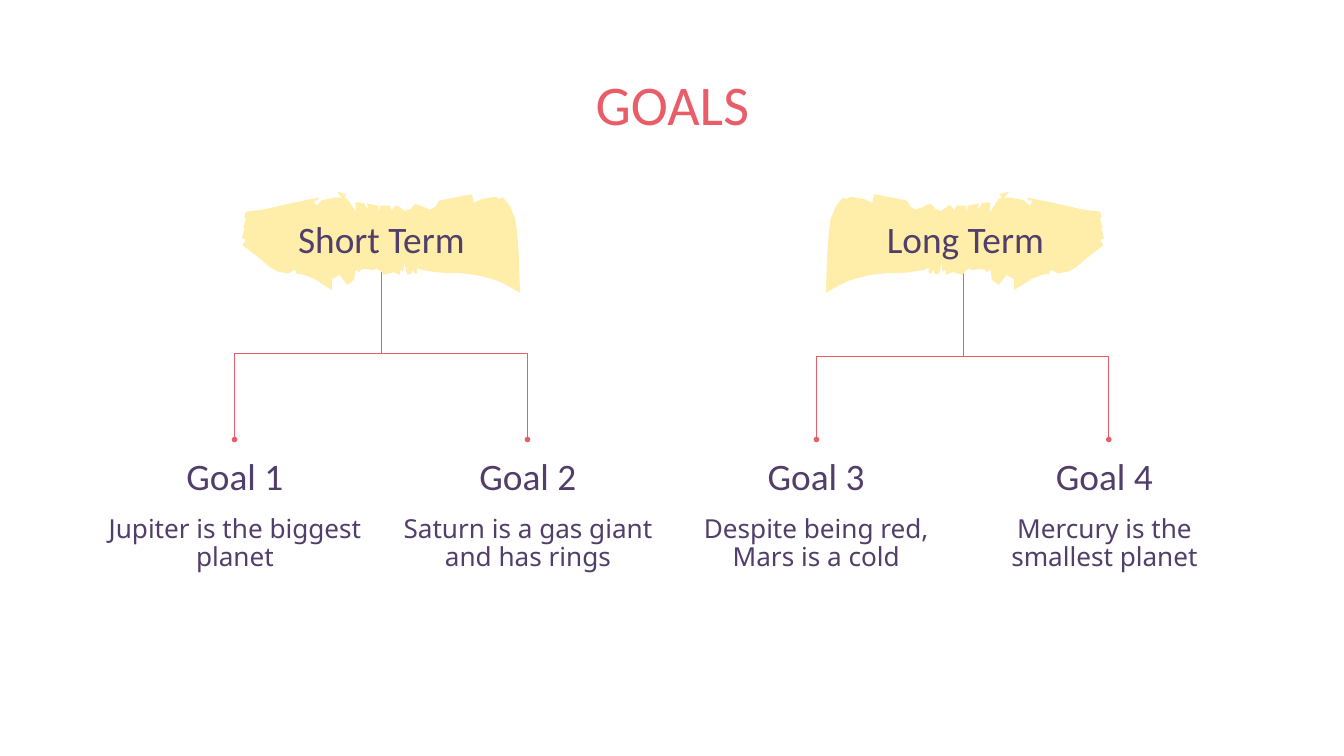
from dataclasses import dataclass

from lxml import etree
from pptx import Presentation
from pptx.dml.color import RGBColor
from pptx.enum.shapes import MSO_CONNECTOR
from pptx.enum.text import MSO_ANCHOR, MSO_AUTO_SIZE, PP_ALIGN
from pptx.oxml.ns import qn
from pptx.util import Inches, Pt

ELBOW = MSO_CONNECTOR.ELBOW
TOP, BOTTOM = MSO_ANCHOR.TOP, MSO_ANCHOR.BOTTOM
CENTER = PP_ALIGN.CENTER
NO_FIT = MSO_AUTO_SIZE.NONE


@dataclass(frozen=True)
class Theme:
    accent: RGBColor = RGBColor.from_string("E95D68")
    ink: RGBColor = RGBColor.from_string("513E6B")
    brush: RGBColor = RGBColor.from_string("FFEDAA")
    heading_font: str = "Calibri"
    body_font: str = "Noto Sans"
    title_size: int = 60
    heading_size: int = 40
    body_size: int = 28
    line_width: float = 0.75


BRUSH = [
    (5.01, 2.85), (5.09, 2.94), (4.99, 2.94), (4.79, 2.98), (4.72, 3.05),
    (4.7, 3.06), (4.67, 2.98), (4.71, 2.99), (4.75, 2.94), (4.35, 3.02),
    (3.91, 3.12), (3.66, 3.15), (3.63, 3.24), (3.66, 3.24), (3.63, 3.36),
    (3.62, 3.38), (3.64, 3.39), (3.62, 3.48), (3.6, 3.54), (3.66, 3.57),
    (3.61, 3.65), (3.87, 3.85), (4.02, 3.98), (4.13, 4.04), (4.29, 4.07),
    (4.39, 4.01), (4.42, 4.08), (4.49, 4.08), (4.66, 4.14), (4.85, 4.26),
    (4.94, 4.32), (4.94, 4.16), (5.05, 4.09), (5.17, 4.24), (5.27, 4.16),
    (5.29, 4.01), (5.35, 4.05), (5.38, 3.98), (5.36, 4.02), (5.42, 4),
    (5.57, 4.02), (5.6, 3.99), (5.67, 4.04), (5.71, 4.09), (5.86, 4.05),
    (5.95, 4.09), (5.96, 4.01), (5.99, 4.04), (6.01, 4.01), (6.01, 3.9),
    (6.06, 4.08), (6.12, 4.08), (6.14, 4.01), (6.17, 4.07), (6.21, 4.07),
    (6.21, 3.98), (6.26, 4.01), (6.48, 4.05), (6.61, 4.06), (6.8, 4.06),
    (7.07, 4.09), (7.24, 4.13), (7.41, 4.18), (7.57, 4.26), (7.74, 4.36),
    (7.72, 3.79), (7.7, 3.5), (7.67, 3.26), (7.59, 3.07), (7.49, 2.94),
    (7.42, 2.96), (7.39, 2.93), (7.36, 2.93), (7.18, 2.96), (7.05, 3.02),
    (7.02, 2.89), (6.56, 2.98), (6.53, 2.99), (6.48, 3.08), (6.4, 3.12),
    (6.3, 3.08), (6.21, 3.04), (6.17, 3.04), (6.11, 3.11), (6.02, 3.14),
    (5.92, 3.06), (5.88, 3.06), (5.83, 3.13), (5.8, 3.06), (5.66, 3.06),
    (5.64, 3.17), (5.63, 3.06), (5.46, 3.03), (5.49, 3.13), (5.41, 3.02),
    (5.32, 3.01), (5.29, 3.02), (5.3, 3.16), (5.17, 2.96), (5.13, 2.95),
    (5.15, 2.89),
]
MIRROR_SUM = 20.03
BOX_W, HEAD_H, BODY_H = 3.95, 0.94, 1.51
TERM_Y, GOAL_Y = 3.14, 6.54
STEM_Y = 4.05

TERMS = [
    ("Short Term", 3.7, 5.68, 5.26, False, [
        ("Goal 1", "Jupiter is the biggest planet", 1.52, 3.49),
        ("Goal 2", "Saturn is a gas giant and has rings", 5.88, 7.85),
    ]),
    ("Long Term", 12.39, 14.33, 5.3, True, [
        ("Goal 3", "Despite being red, Mars is a cold", 10.17, 12.15),
        ("Goal 4", "Mercury is the smallest planet", 14.46, 16.5),
    ]),
]


class GoalSlide:
    def __init__(self, slide, theme):
        self.slide = slide
        self.theme = theme

    def set_text(self, sp, text, font, size, color, anchor=TOP, side=0.2, spacing=1.0):
        tf = sp.text_frame
        tf.word_wrap = True
        tf.auto_size = NO_FIT
        tf.vertical_anchor = anchor
        tf.margin_left = tf.margin_right = Inches(side)
        tf.margin_top = tf.margin_bottom = Inches(0.2)
        p = tf.paragraphs[0]
        p.alignment = CENTER
        p.line_spacing = spacing
        r = p.add_run()
        r.text = text
        r.font.name = font
        r.font.size = Pt(size)
        r.font.color.rgb = color

    def title(self, text):
        t = self.theme
        sp = self.slide.shapes.title
        sp.left, sp.top = Inches(1.57), Inches(0.83)
        sp.width, sp.height = Inches(16.87), Inches(1.06)
        self.set_text(sp, text, t.heading_font, t.title_size, t.accent)

    def box(self, x, y, h):
        return self.slide.shapes.add_textbox(
            Inches(x), Inches(y), Inches(BOX_W), Inches(h))

    def heading(self, text, x, y, anchor=TOP):
        t = self.theme
        self.set_text(self.box(x, y, HEAD_H), text, t.heading_font,
                      t.heading_size, t.ink, anchor)

    def body(self, text, x, y):
        t = self.theme
        self.set_text(self.box(x, y, BODY_H), text, t.body_font,
                      t.body_size, t.ink, side=0, spacing=0.9)

    def brush(self, mirrored):
        points = [(Inches(MIRROR_SUM - x if mirrored else x), Inches(y))
                  for x, y in BRUSH]
        builder = self.slide.shapes.build_freeform(*points[0])
        builder.add_line_segments(points[1:], close=True)
        sp = builder.convert_to_shape()
        sp.shadow.inherit = False
        sp.fill.solid()
        sp.fill.fore_color.rgb = self.theme.brush
        sp.line.fill.background()

    def branch(self, x1, y1, x2, y2, bend_y):
        drop, span = y2 - y1, abs(x2 - x1)
        left = (x1 + x2 - drop) / 2
        top = (y1 + y2 - span) / 2
        sp = self.slide.shapes.add_connector(
            ELBOW, Inches(left), Inches(top),
            Inches(left + drop), Inches(top + span))
        sp.line.color.rgb = self.theme.accent
        sp.line.width = Pt(self.theme.line_width)
        spPr = sp._element.spPr
        xfrm = spPr.find(qn("a:xfrm"))
        xfrm.set("rot", str((90 if x2 < x1 else 270) * 60000))
        if x2 > x1:
            xfrm.set("flipH", "1")
        guides = spPr.find(qn("a:prstGeom")).find(qn("a:avLst"))
        bend = round((bend_y - y1) / drop * 100000)
        etree.SubElement(guides, qn("a:gd"), name="adj1", fmla=f"val {bend}")
        etree.SubElement(spPr.find(qn("a:ln")), qn("a:tailEnd"), type="oval")
        etree.SubElement(spPr, qn("a:effectLst"))


def main():
    prs = Presentation()
    prs.slide_width, prs.slide_height = Inches(20), Inches(11.25)
    s = GoalSlide(prs.slides.add_slide(prs.slide_layouts[5]), Theme())
    s.title("GOALS")
    for term, term_x, stem_x, bend_y, mirrored, goals in TERMS:
        for goal, detail, x, end_x in goals:
            s.branch(stem_x, STEM_Y, end_x, GOAL_Y, bend_y)
            s.heading(goal, x, GOAL_Y)
            s.body(detail, x, GOAL_Y + HEAD_H)
        s.brush(mirrored)
        s.heading(term, term_x, TERM_Y, BOTTOM)
    prs.save("out.pptx")


if __name__ == "__main__":
    main()
